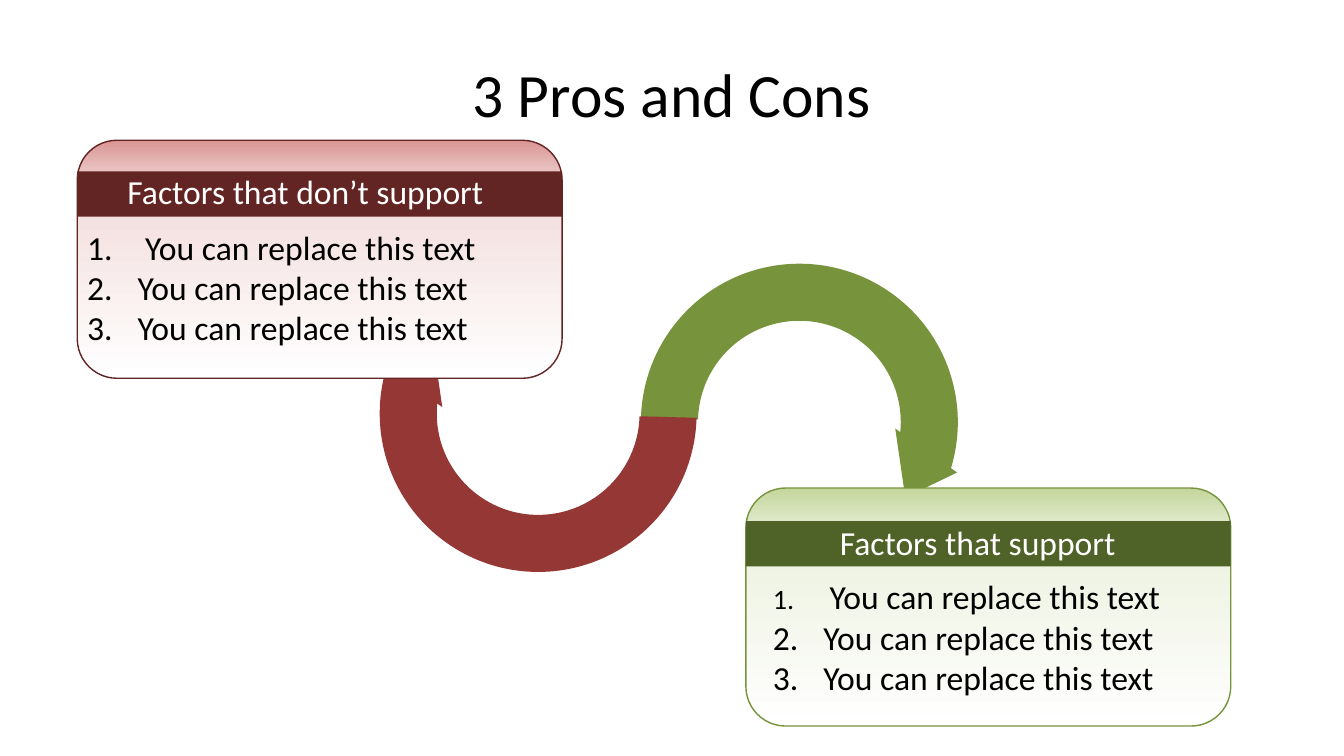
"""Build the pros and cons slide with two cards and a pair of curved arrows."""
from copy import deepcopy
from dataclasses import dataclass

from lxml import etree
from pptx import Presentation
from pptx.dml.color import RGBColor
from pptx.enum.shapes import MSO_SHAPE
from pptx.enum.text import MSO_ANCHOR, MSO_AUTO_SIZE, PP_ALIGN
from pptx.oxml.ns import qn
from pptx.util import Pt

ARROW, CARD, BAND = MSO_SHAPE.CIRCULAR_ARROW, MSO_SHAPE.ROUNDED_RECTANGLE, MSO_SHAPE.RECTANGLE
LEFT, CENTER = PP_ALIGN.LEFT, PP_ALIGN.CENTER
MIDDLE, GROW = MSO_ANCHOR.MIDDLE, MSO_AUTO_SIZE.SHAPE_TO_FIT_TEXT
FONT = "Calibri"
HEX = {
    "black": "000000", "white": "FFFFFF",
    "rose": "D99694", "blush": "F2DCDB", "red": "953735", "wine": "632523",
    "lime": "C3D69B", "mist": "EBF1DE", "green": "77933C", "moss": "4F6228",
}
CARD_W, CARD_H, BAND_H, RING = 346.3, 170, 32.4, 239.8
TURN = 37.4
BEND = (0.17, 13.693, 201.114, 86.499, 0.113)
STOPS = (0, 0.2, 1)
ITEMS = ["You can replace this text"] * 3


@dataclass
class Curve:
    """A curved arrow around a centre point."""
    x: float
    y: float
    turn: float
    fill: str


@dataclass
class Panel:
    """A card with its band, heading and numbered list."""
    x: float
    y: float
    shades: tuple
    edge: str
    band: str
    band_y: float
    head: str
    head_box: tuple
    list_box: tuple
    lead: float


CURVES = [
    Curve(571, 301.6, TURN, "green"),
    Curve(384.4, 295.3, TURN + 180, "red"),
]
PANELS = [
    Panel(55.2, 100.2, ("rose", "blush", "white"), "wine", "wine", 122.4,
          "Factors that don’t support", (61.2, 118.4, 313.9, 36),
          (55.2, 158.4, 338.4, 94.5), 24),
    Panel(532.8, 348.6, ("lime", "mist", "white"), "green", "moss", 372.2,
          "Factors that support", (573.8, 369.5, 249.1, 36),
          (545, 408, 331.2, 94.5), 20),
]


def tint(name: str) -> RGBColor:
    """Look up a colour by name."""
    return RGBColor.from_string(HEX[name])


def write(frame, lines: list, *, size: float = 24, color: str = "black",
          align=LEFT, lead: float = 0) -> None:
    """Fill a frame with lines, numbered after a small space if lead is set."""
    frame.word_wrap = True
    for i, line in enumerate(lines):
        para = frame.paragraphs[0] if i == 0 else frame.add_paragraph()
        para.alignment = align
        parts = [(line, size)]
        if lead:
            props = para._p.get_or_add_pPr()
            props.set("marL", str(Pt(36)))
            props.set("indent", str(Pt(-36)))
            etree.SubElement(props, qn("a:buFont"), typeface="+mj-lt")
            etree.SubElement(props, qn("a:buAutoNum"), type="arabicPeriod")
            if i == 0:
                parts.insert(0, (" ", lead))
        for part, points in parts:
            run = para.add_run()
            run.text = part
            run.font.name, run.font.size = FONT, Pt(points)
            run.font.color.rgb = tint(color)


def add_text(slide, box: tuple, lines: list, **style) -> None:
    """Add a text box that grows with its text."""
    frame = slide.shapes.add_textbox(*map(Pt, box)).text_frame
    write(frame, lines, **style)
    frame.auto_size = GROW


def add_form(slide, kind, box: tuple, shades: tuple, edge: str = ""):
    """Add a shape with a plain or graded fill and an optional edge."""
    form = slide.shapes.add_shape(kind, *map(Pt, box))
    form.shadow.inherit = False
    if len(shades) == 1:
        form.fill.solid()
        form.fill.fore_color.rgb = tint(shades[0])
    else:
        form.fill.gradient()
        form.fill.gradient_angle = 270
        chain = form.element.find(".//" + qn("a:gsLst"))
        chain.append(deepcopy(chain[-1]))
        for stop, place, shade in zip(form.fill.gradient_stops, STOPS, shades):
            stop.position = place
            stop.color.rgb = tint(shade)
    if edge:
        form.line.color.rgb = tint(edge)
        form.line.width = Pt(1)
    else:
        form.line.fill.background()
    return form


def add_curve(slide, curve: Curve) -> None:
    """Draw one curved arrow."""
    box = (curve.x - RING / 2, curve.y - RING / 2, RING, RING)
    form = add_form(slide, ARROW, box, (curve.fill,))
    form.rotation = curve.turn
    for i, value in enumerate(BEND):
        form.adjustments[i] = value


def add_panel(slide, panel: Panel) -> None:
    """Draw one card with its texts."""
    add_form(slide, CARD, (panel.x, panel.y, CARD_W, CARD_H), panel.shades, panel.edge)
    add_form(slide, BAND, (panel.x, panel.band_y, CARD_W, BAND_H), (panel.band,))
    add_text(slide, panel.head_box, [panel.head], color="white", align=CENTER)
    add_text(slide, panel.list_box, ITEMS, lead=panel.lead)


def main() -> None:
    """Build and save the slide."""
    deck = Presentation()
    deck.slide_width, deck.slide_height = Pt(960), Pt(540)
    slide = deck.slides.add_slide(deck.slide_layouts[5])
    title = slide.shapes.title
    title.left, title.top, title.width, title.height = map(Pt, (48, 21.6, 864, 90))
    title.text_frame.vertical_anchor = MIDDLE
    write(title.text_frame, ["3 Pros and Cons"], size=44, align=CENTER)
    for curve in CURVES:
        add_curve(slide, curve)
    for panel in PANELS:
        add_panel(slide, panel)
    deck.save("out.pptx")


if __name__ == "__main__":
    main()
